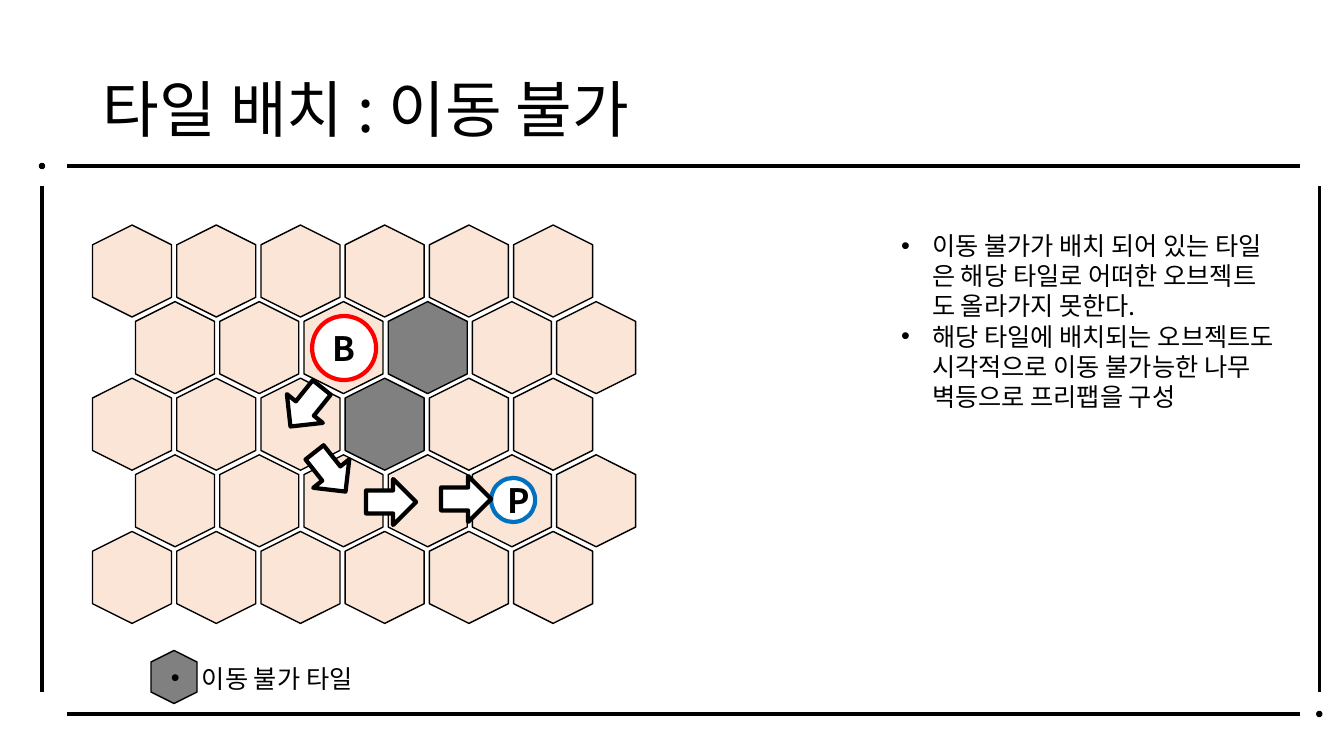
from pptx import Presentation, util as u
from pptx.dml.color import RGBColor
from pptx.enum import shapes, text
from pptx.oxml.ns import qn
from lxml import etree

THEME = dict(font="Noto Sans CJK KR", ink="000000", tile="FBE5D6", block="808080",
             white="FFFFFF", red="FF0000", blue="0070C0",
             title=44, body=18, mark=24, thin=1, rule=2.25, bold=3)
SCALE = 914400 / 100.8
KIND = shapes.MSO_SHAPE

TITLE = ["타일 배치 : 이동 불가"]
NOTES = ["이동 불가가 배치 되어 있는 타일\v은 해당 타일로 어떠한 오브젝트\v도 올라가지 못한다.",
         "해당 타일에 배치되는 오브젝트도\v시각적으로 이동 불가능한 나무\v벽등으로 프리팹을 구성"]
LEGEND = ["이동 불가 타일"]
GRID = ["......", "...#..", "...#..", "......", "......"]  # '#' = blocked tile
RULES = [(67, 166, 1300, 166), (67, 714, 1300, 714),
         (42, 186, 42, 692), (1319, 186, 1319, 692)]
DOTS = [(1319, 714), (42, 166)]
# centre x, centre y, size, letter, ring colour
START = (344, 348, 64, "B", "red")
GOAL = (513, 500, 44, "P", "blue")
# centre x, centre y, angle
STEPS = [(330, 472, 51.7), (306, 407, 128.7), (391, 502, 0)]
LAST = (466, 499, 0)

deck = Presentation()
deck.slide_width, deck.slide_height = u.Inches(13.33), u.Inches(7.5)
slide = deck.slides.add_slide(deck.slide_layouts[6])


def px(*vals):
    """Turn pixels into EMU."""
    return [u.Emu(round(v * SCALE)) for v in vals]


def hue(name):
    """Give a theme colour."""
    return RGBColor.from_string(THEME[name])


def assign(obj, **vals):
    """Set attributes from format values."""
    for key, val in vals.items():
        setattr(obj, key, val)


def shape(kind, x, y, w, h, fill, line="ink", width="thin", turn=0):
    """Draw a preset shape around its centre."""
    item = slide.shapes.add_shape(kind, *px(x - w / 2, y - h / 2, w, h))
    item.shadow.inherit = False
    item.rotation = turn
    item.fill.solid()
    item.fill.fore_color.rgb = hue(fill)
    item.line.color.rgb = hue(line)
    item.line.width = u.Pt(THEME[width])
    return item


def write(frame, lines, size, bold=False, bullet=False, **form):
    """Fill a text frame with paragraphs."""
    assign(frame, word_wrap=True, vertical_anchor=text.MSO_ANCHOR.MIDDLE)
    for i, line in enumerate(lines):
        para = frame.paragraphs[0] if i == 0 else frame.add_paragraph()
        para.text = line
        assign(para, **form)
        for run in para.runs:
            assign(run.font, name=THEME["font"], size=u.Pt(THEME[size]), bold=bold)
            run.font.color.rgb = hue("ink")
            east = etree.SubElement(run.font._element, qn("a:ea"))
            east.set("typeface", THEME["font"])
        if bullet:
            props = para._p.get_or_add_pPr()
            indent = px(31)[0]
            props.set("marL", str(indent))
            props.set("indent", str(-indent))
            etree.SubElement(props, qn("a:buFont")).set("typeface", "Arial")
            etree.SubElement(props, qn("a:buChar")).set("char", "•")


def label(box, lines, size, **form):
    """Add a text box."""
    write(slide.shapes.add_textbox(*px(*box)).text_frame, lines, size, **form)


def rule(ends):
    """Draw one frame line."""
    line = slide.shapes.add_connector(shapes.MSO_CONNECTOR.STRAIGHT, *px(*ends))
    line.line.color.rgb = hue("ink")
    line.line.width = u.Pt(THEME["rule"])
    etree.SubElement(line._element.spPr, qn("a:effectLst"))


def token(x, y, size, letter, ring):
    """Draw a lettered circle."""
    disc = shape(KIND.OVAL, x, y, size, size, "white", ring, "bold")
    write(disc.text_frame, [letter], "mark", bold=True, alignment=text.PP_ALIGN.CENTER)


def arrow(x, y, turn):
    """Draw one step of the route."""
    shape(KIND.RIGHT_ARROW, x, y, 50, 46, "white", width="bold", turn=turn)


for ends in RULES:
    rule(ends)
for x, y in DOTS:
    shape(KIND.OVAL, x, y, 5, 5, "ink")
label((93, 40, 1159, 146), TITLE, "title", line_spacing=0.9)

for row, cells in enumerate(GRID):
    for col, cell in enumerate(cells):
        shape(KIND.HEXAGON, 132 + 84.2 * col + 43 * (row % 2), 271 + 76.6 * row,
              92, 79, "block" if cell == "#" else "tile", turn=270)

label((891, 224, 435, 194), NOTES, "body", bullet=True)
token(*START)
for step in STEPS:
    arrow(*step)
token(*GOAL)
arrow(*LAST)
shape(KIND.HEXAGON, 174, 677, 53, 46, "block", turn=270)
label((161, 658, 223, 40), LEGEND, "body", bullet=True)

deck.save("out.pptx")
